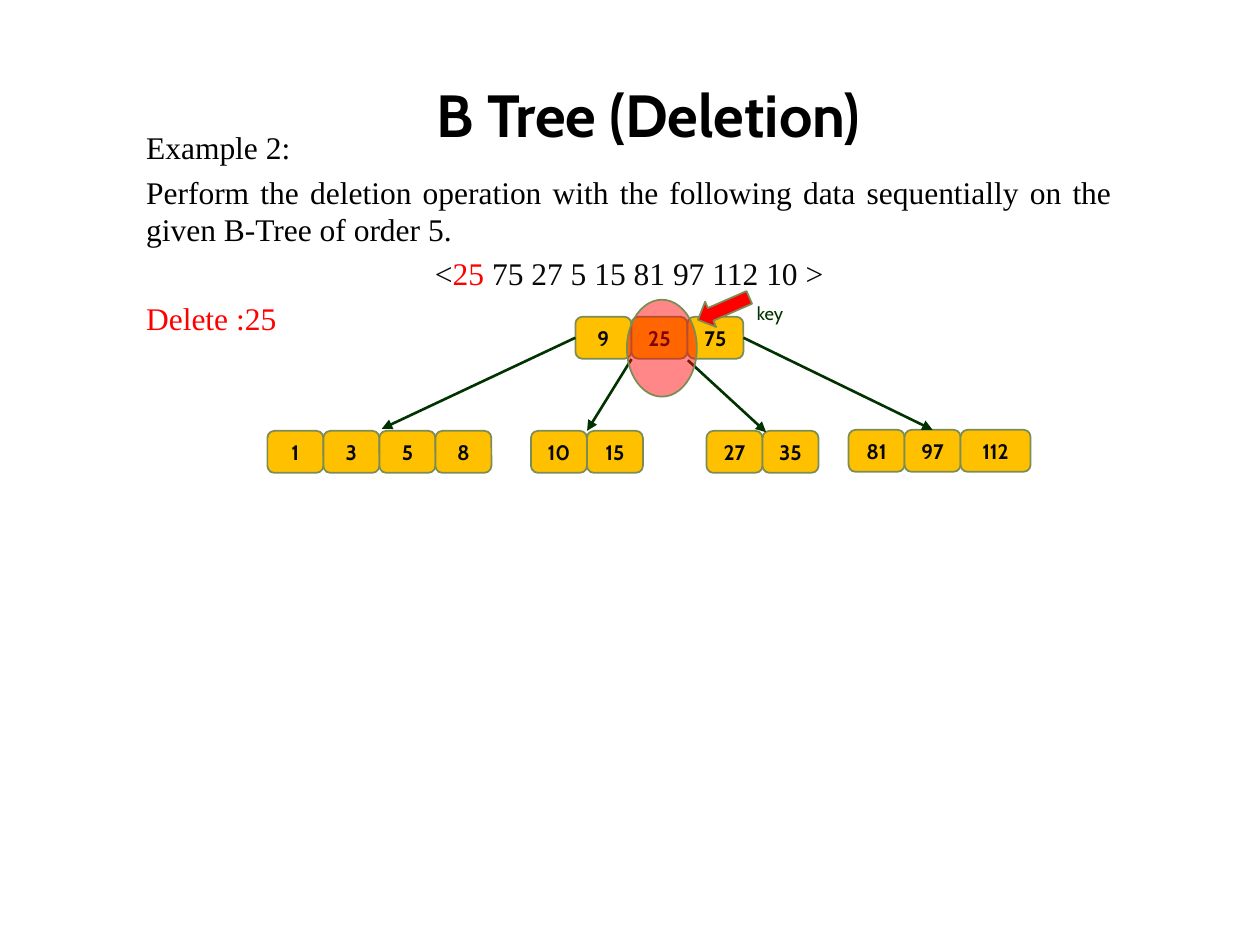
import dataclasses

import pptx
import pptx.dml.color
import pptx.enum.shapes
import pptx.enum.text
import pptx.oxml.ns
import pptx.util
from lxml import etree

Pt = pptx.util.Pt
RGB = pptx.dml.color.RGBColor.from_string
ALIGN = pptx.enum.text.PP_ALIGN
ANCHOR = pptx.enum.text.MSO_ANCHOR
SHAPE = pptx.enum.shapes.MSO_SHAPE
qn = pptx.oxml.ns.qn


@dataclasses.dataclass(frozen=True)
class Theme:
    ink: str = "000000"
    soft_ink: str = "080808"
    red: str = "FF0000"
    gold: str = "FFC000"
    outline: str = "7B8D55"
    green: str = "003300"
    heading_font: str = "Cabin"
    body_font: str = "Times New Roman"
    title_size: float = 34
    body_size: float = 18
    key_size: float = 12
    label_size: float = 10.5


theme = Theme()


def write(paragraph, text, font=theme.heading_font, size=theme.key_size,
          color=theme.soft_ink, bold=False, align=ALIGN.CENTER):
    """Append one formatted run to the paragraph."""
    paragraph.alignment = align
    run = paragraph.add_run()
    run.text = text
    run.font.name = font
    run.font.size = Pt(size)
    run.font.bold = bold
    run.font.color.rgb = RGB(color)


def add_outlined(kind, left, top, width, height, fill):
    shape = slide.shapes.add_shape(kind, Pt(left), Pt(top), Pt(width), Pt(height))
    shape.shadow.inherit = False
    shape.fill.solid()
    shape.fill.fore_color.rgb = RGB(fill)
    shape.line.color.rgb = RGB(theme.outline)
    shape.line.width = Pt(1)
    return shape


presentation = pptx.Presentation()
presentation.slide_width, presentation.slide_height = Pt(720), Pt(540)
slide = presentation.slides.add_slide(presentation.slide_layouts[1])

# Title
title = slide.shapes.title
title.left, title.top, title.width, title.height = Pt(46.8), Pt(36.7), Pt(648), Pt(56.9)
title.text_frame.vertical_anchor = ANCHOR.MIDDLE
write(title.text_frame.paragraphs[0], "B Tree (Deletion)",
      size=theme.title_size, color=theme.ink, bold=True)

# Exercise text: one entry per paragraph, holding its alignment and its runs
exercise = slide.placeholders[1]
exercise.left, exercise.top = Pt(76.3), Pt(69.8)
exercise.width, exercise.height = Pt(566.6), Pt(134)
exercise.text_frame.auto_size = pptx.enum.text.MSO_AUTO_SIZE.NONE
statements = [
    (ALIGN.JUSTIFY, [("Example 2:", theme.ink)]),
    (ALIGN.JUSTIFY, [("Perform the deletion operation with the following data "
                      "sequentially on the given B-Tree of order 5.", theme.ink)]),
    (ALIGN.CENTER, [("<", theme.soft_ink), ("25", theme.red),
                    (" 75 27 5 15 81 97 112 10 >", theme.soft_ink)]),
    (ALIGN.LEFT, [("Delete :25", theme.red)]),
]
for index, (align, runs) in enumerate(statements):
    frame = exercise.text_frame
    statement = frame.add_paragraph() if index else frame.paragraphs[0]
    for text, color in runs:
        write(statement, text, font=theme.body_font, size=theme.body_size,
              color=color, align=align)
    properties = statement._p.get_or_add_pPr()
    properties.set("marL", "0")
    properties.set("indent", "0")
    etree.SubElement(properties, qn("a:buNone"))

# Tree nodes: left, top and keys
KEY_WIDTH, WIDE_KEY_WIDTH, KEY_HEIGHT = 32, 40, 24
nodes = [
    (328.8, 181, [9, 25, 75]),
    (152.8, 246.2, [1, 3, 5, 8]),
    (303.4, 246.2, [10, 15]),
    (403.7, 246.2, [27, 35]),
    (484.9, 245.6, [81, 97, 112]),
]
cells = {}
for left, top, keys in nodes:
    for column, key in enumerate(keys):
        width = WIDE_KEY_WIDTH if key > 99 else KEY_WIDTH
        cell = add_outlined(SHAPE.ROUNDED_RECTANGLE, left + column * KEY_WIDTH, top,
                            width, KEY_HEIGHT, theme.gold)
        cell.text_frame.word_wrap = False
        cell.text_frame.vertical_anchor = ANCHOR.MIDDLE
        write(cell.text_frame.paragraphs[0], str(key), bold=True)
        cells[key] = cell

# Child pointers: start, end, and the (key, side) joined at either end
pointers = [
    ((328.8, 193), (218.2, 245), (9, 1), None),
    ((360.9, 205.2), (335.5, 246.2), None, None),
    ((393.1, 205.9), (437.8, 247), None, None),
    ((424.8, 193), (532.9, 245.6), (75, 3), (97, 0)),
]
for start, end, source, target in pointers:
    pointer = slide.shapes.add_connector(
        pptx.enum.shapes.MSO_CONNECTOR.STRAIGHT, *map(Pt, start + end))
    if source:
        pointer.begin_connect(cells[source[0]], source[1])
    if target:
        pointer.end_connect(cells[target[0]], target[1])
    pointer.line.color.rgb = RGB(theme.green)
    pointer.line.width = Pt(1.5)
    etree.SubElement(pointer.line._get_or_add_ln(), qn("a:tailEnd"), type="triangle")
    etree.SubElement(pointer._element.spPr, qn("a:effectLst"))

# Marker on the key to delete
highlight = add_outlined(SHAPE.OVAL, 358.2, 171.3, 40, 55.4, theme.red)
highlight_color = highlight._element.spPr.find(qn("a:solidFill")).find(qn("a:srgbClr"))
etree.SubElement(highlight_color, qn("a:alpha"), val="47000")

arrow = add_outlined(SHAPE.LEFT_ARROW, 397.5, 168.5, 32, 15.8, theme.red)
arrow.rotation = 336.4

label = slide.shapes.add_textbox(Pt(425.5), Pt(169.2), Pt(33.1), Pt(20.2))
label.text_frame.word_wrap = True
write(label.text_frame.paragraphs[0], "key", size=theme.label_size,
      color=theme.green, align=ALIGN.LEFT)

presentation.save("out.pptx")
